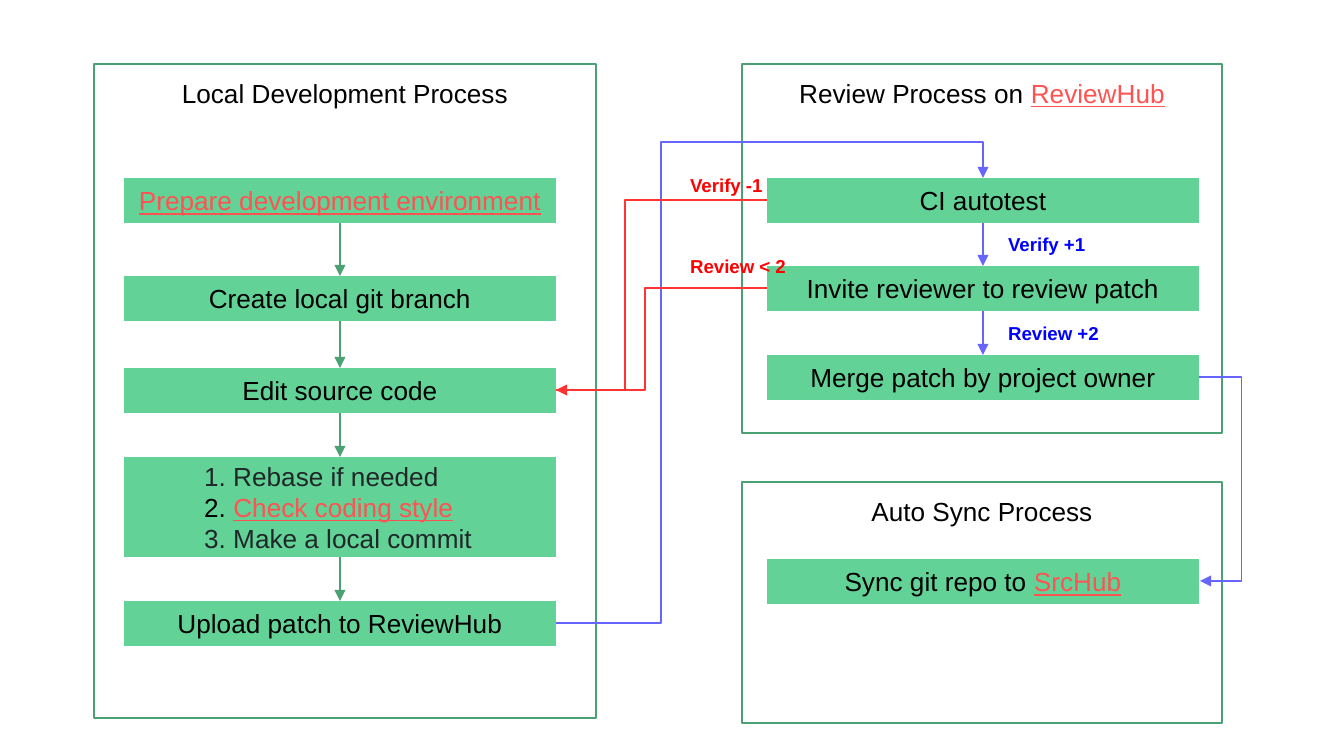
from dataclasses import dataclass
from itertools import pairwise

from lxml import etree
from pptx import Presentation
from pptx import util as u
from pptx.dml.color import RGBColor
from pptx.enum import shapes, text
from pptx.oxml.ns import qn

SCALE = u.Inches(10) / 1344
STEP_WIDTH = 432
STEP_HEIGHT = 45


@dataclass(frozen=True)
class Theme:
    """Colours, font and type sizes of the slide."""
    font: str = "Arial"
    body: int = 14
    note: int = 10
    ink: str = "000000"
    soft_ink: str = "202729"
    link: str = "FF5252"
    step: str = "63D297"
    border: str = "4BA173"
    forward: str = "6666FF"
    back: str = "FF3333"
    passed: str = "0000FF"
    failed: str = "FF0000"


@dataclass(frozen=True)
class Box:
    """A rectangle in px."""
    x: int
    y: int
    w: int
    h: int

    @property
    def emu(self):
        """Return the rectangle in EMU."""
        return [px(side) for side in (self.x, self.y, self.w, self.h)]

    @property
    def left(self):
        """Return the middle of the left edge."""
        return self.x, self.y + self.h // 2

    @property
    def right(self):
        """Return the middle of the right edge."""
        return self.x + self.w, self.y + self.h // 2

    @property
    def top(self):
        """Return the middle of the top edge."""
        return self.x + self.w // 2, self.y

    @property
    def bottom(self):
        """Return the middle of the bottom edge."""
        return self.x + self.w // 2, self.y + self.h


THEME = Theme()


def px(length):
    """Turn px into EMU."""
    return u.Emu(round(length * SCALE))


def write(holder, lines, size=THEME.body, bold=False, indent=0,
          align=text.PP_ALIGN.CENTER, anchor=text.MSO_ANCHOR.MIDDLE):
    """Fill a shape with lines, each a list of (wording, colour) runs."""
    frame = holder.text_frame
    frame.word_wrap = True
    frame.vertical_anchor = anchor
    frame.margin_left = frame.margin_right = u.Inches(0.1)
    frame.margin_top = frame.margin_bottom = u.Inches(0.1)
    for index, line in enumerate(lines):
        paragraph = frame.add_paragraph() if index else frame.paragraphs[0]
        paragraph.alignment = align
        if indent:
            paragraph._p.get_or_add_pPr().set("marL", str(px(indent)))
        for wording, colour in line:
            run = paragraph.add_run()
            run.text = wording
            run.font.name = THEME.font
            run.font.size = u.Pt(size)
            run.font.bold = bold
            run.font.underline = colour == THEME.link
            run.font.color.rgb = RGBColor.from_string(colour)


def add_label(slide, box, wording, colour):
    """Place a bold note beside an arrow."""
    label = slide.shapes.add_textbox(*box.emu)
    write(label, [[(wording, colour)]], size=THEME.note, bold=True,
          align=text.PP_ALIGN.LEFT)


def add_step(slide, box, lines, **fmt):
    """Place a green process step and return its box."""
    step = slide.shapes.add_shape(shapes.MSO_SHAPE.FLOWCHART_PROCESS, *box.emu)
    step.shadow.inherit = False
    step.fill.solid()
    step.fill.fore_color.rgb = RGBColor.from_string(THEME.step)
    step.line.fill.background()
    write(step, lines, **fmt)
    return box


def add_arrow(slide, start, end, colour, bends=(), head=True):
    """Draw a connector whose bends are alternating x and y positions."""
    kind = shapes.MSO_CONNECTOR.ELBOW if bends else shapes.MSO_CONNECTOR.STRAIGHT
    arrow = slide.shapes.add_connector(kind, *map(px, (*start, *end)))
    arrow.line.color.rgb = RGBColor.from_string(colour)
    arrow.line.width = u.Pt(0.75)
    properties = arrow._element.spPr
    if head:
        etree.SubElement(properties.find(qn("a:ln")), qn("a:tailEnd"), type="triangle")
    etree.SubElement(properties, qn("a:effectLst"))
    if bends:
        geometry = properties.find(qn("a:prstGeom"))
        geometry.set("prst", f"bentConnector{len(bends) + 2}")
        guides = geometry.find(qn("a:avLst"))
        if guides is None:
            guides = etree.SubElement(geometry, qn("a:avLst"))
        for index, bend in enumerate(bends):
            axis = index % 2
            share = (bend - start[axis]) / (end[axis] - start[axis])
            etree.SubElement(guides, qn("a:gd"), name=f"adj{index + 1}",
                             fmla=f"val {round(share * 100000)}")


def add_chain(slide, steps, colour):
    """Join each step to the one below it."""
    for upper, lower in pairwise(steps):
        add_arrow(slide, upper.bottom, lower.top, colour)


def add_panel(slide, box, title):
    """Draw an outlined panel with its title at the top."""
    panel = slide.shapes.add_shape(shapes.MSO_SHAPE.RECTANGLE, *box.emu)
    panel.shadow.inherit = False
    panel.fill.background()
    panel.line.color.rgb = RGBColor.from_string(THEME.border)
    panel.line.width = u.Pt(0.75)
    write(panel, [title], anchor=text.MSO_ANCHOR.TOP)


def add_local_process(slide, box):
    """Build the local development panel and return its edit and upload steps."""
    def place(top, height=STEP_HEIGHT):
        """Return a step box at a distance from the panel top."""
        return Box(box.x + 30, box.y + top, STEP_WIDTH, height)

    add_panel(slide, box, [("Local Development Process", THEME.ink)])
    prepare = add_step(slide, place(114), [[("Prepare development environment", THEME.link)]])
    branch = add_step(slide, place(212), [[("Create local git branch", THEME.ink)]])
    edit = add_step(slide, place(304), [[("Edit source code", THEME.ink)]])
    commit = add_step(slide, place(393, 100), [
        [("1. Rebase if needed", THEME.soft_ink)],
        [("2. ", THEME.ink), ("Check coding style", THEME.link)],
        [("3. Make a local commit", THEME.soft_ink)],
    ], align=text.PP_ALIGN.LEFT, indent=67)
    upload = add_step(slide, place(537), [[("Upload patch to ReviewHub", THEME.ink)]])
    add_chain(slide, [prepare, branch, edit, commit, upload], THEME.border)
    return edit, upload


def add_review_process(slide, box):
    """Build the review panel and return its three steps."""
    add_panel(slide, box, [("Review Process on ", THEME.ink), ("ReviewHub", THEME.link)])
    wordings = ["CI autotest", "Invite reviewer to review patch", "Merge patch by project owner"]
    steps = [
        add_step(slide, Box(box.x + 25, box.y + top, STEP_WIDTH, STEP_HEIGHT),
                 [[(wording, THEME.ink)]])
        for top, wording in zip((114, 202, 291), wordings)
    ]
    add_chain(slide, steps, THEME.forward)
    add_label(slide, Box(box.x + 253, box.y + 158, 114, 43), "Verify +1", THEME.passed)
    add_label(slide, Box(box.x + 253, box.y + 248, 121, 43), "Review +2", THEME.passed)
    return steps


def add_sync_process(slide, box):
    """Build the auto sync panel and return its step."""
    add_panel(slide, box, [("Auto Sync Process", THEME.ink)])
    return add_step(slide, Box(box.x + 25, box.y + 77, STEP_WIDTH, STEP_HEIGHT),
                    [[("Sync git repo to ", THEME.ink), ("SrcHub", THEME.link)]])


def main():
    """Build the workflow slide and save it."""
    deck = Presentation()
    deck.slide_width, deck.slide_height = px(1344), px(756)
    slide = deck.slides.add_slide(deck.slide_layouts[6])

    sync = add_sync_process(slide, Box(742, 482, 480, 241))
    edit, upload = add_local_process(slide, Box(94, 64, 502, 654))
    autotest, invite, merge = add_review_process(slide, Box(742, 64, 480, 369))

    add_arrow(slide, upload.right, autotest.top, THEME.forward, bends=(661, 142))
    sync_x, sync_y = sync.right
    add_arrow(slide, merge.right, (sync_x + 1, sync_y), THEME.forward, bends=(1241,))
    add_arrow(slide, autotest.left, edit.right, THEME.back, bends=(625,))
    add_label(slide, Box(677, 164, 109, 43), "Verify -1", THEME.failed)
    add_arrow(slide, invite.left, edit.right, THEME.back, bends=(645,), head=False)
    add_label(slide, Box(677, 245, 132, 43), "Review < 2", THEME.failed)
    deck.save("out.pptx")


if __name__ == "__main__":
    main()
